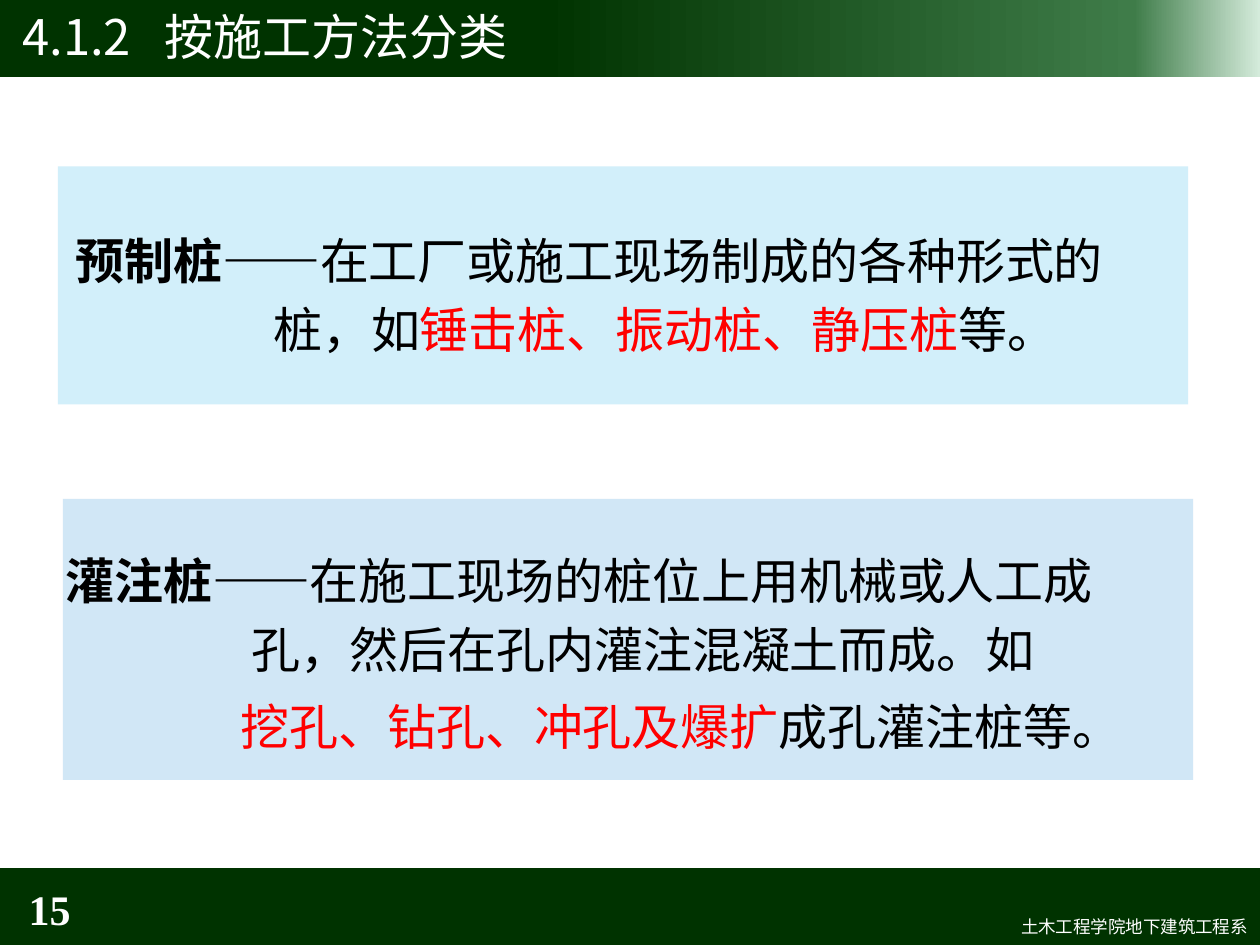
import copy
from dataclasses import dataclass

import pptx
import pptx.dml.color
import pptx.enum.shapes
import pptx.enum.text
import pptx.oxml.ns
import pptx.util

ALIGN = pptx.enum.text.PP_ALIGN
ANCHOR = pptx.enum.text.MSO_ANCHOR
COLS, ROWS = 100, 75


@dataclass(frozen=True)
class Theme:
    white: str = "FFFFFF"
    black: str = "000000"
    red: str = "FF0000"
    bar: str = "003300"
    bar_fade: tuple = ((0.43, "003300"), (0.9, "3F7C49"), (1, "D4EBDB"))
    precast_panel: str = "D2EFFA"
    cast_panel: str = "D1E7F6"
    body_font: str = "Arial"
    cjk_font: str = "Noto Sans CJK SC"
    number_font: str = "Times New Roman"
    body_size: int = 28
    number_size: int = 24
    footer_size: int = 10
    body_pitch: float = 39.3


class Deck:
    """Holds the theme and the current slide; lengths are grid columns and rows."""

    def __init__(self, theme):
        self.theme = theme
        self.prs = pptx.Presentation()
        self.prs.slide_width = pptx.util.Inches(10)
        self.prs.slide_height = pptx.util.Inches(7.5)
        self.s = self.prs.slides.add_slide(self.prs.slide_layouts[6])

    def x(self, cols):
        return int(self.prs.slide_width * cols / COLS)

    def y(self, rows):
        return int(self.prs.slide_height * rows / ROWS)

    def area(self, left, top, width, height):
        return self.x(left), self.y(top), self.x(width), self.y(height)

    def panel(self, area, color):
        sp = self.s.shapes.add_shape(
            pptx.enum.shapes.MSO_SHAPE.RECTANGLE, *self.area(*area))
        sp.shadow.inherit = False
        sp.line.fill.background()
        sp.fill.solid()
        sp.fill.fore_color.rgb = pptx.dml.color.RGBColor.from_string(color)
        return sp

    def fade_panel(self, area, stops):
        """Rectangle with a left-to-right gradient through the given stops."""
        sp = self.panel(area, stops[0][1])
        sp.fill.gradient()
        sp.fill.gradient_angle = 0
        gs_list = next(sp._element.iter(pptx.oxml.ns.qn("a:gsLst")))
        while len(gs_list) < len(stops):
            gs_list.append(copy.deepcopy(gs_list[-1]))
        for stop, (position, color) in zip(sp.fill.gradient_stops, stops):
            stop.position = position
            stop.color.rgb = pptx.dml.color.RGBColor.from_string(color)

    def text_box(self, area, anchor=ANCHOR.TOP):
        tf = self.s.shapes.add_textbox(*self.area(*area)).text_frame
        tf.word_wrap = True
        tf.vertical_anchor = anchor
        return tf

    def style(self, r, font, size, color, bold=False):
        r.font.name = font
        r.font.size = pptx.util.Pt(size)
        r.font.bold = bold
        r.font.color.rgb = pptx.dml.color.RGBColor.from_string(color)
        ea = r._r.get_or_add_rPr().makeelement(
            pptx.oxml.ns.qn("a:ea"), {"typeface": self.theme.cjk_font})
        r.font._element.find(pptx.oxml.ns.qn("a:latin")).addnext(ea)

    def label(self, area, text, font, size, align=ALIGN.LEFT,
              anchor=ANCHOR.TOP, bold=False):
        tf = self.text_box(area, anchor)
        tf.text = text
        p = tf.paragraphs[0]
        p.alignment = align
        for r in p.runs:
            self.style(r, font, size, self.theme.white, bold)

    def title(self, area, number, text, tab):
        """Section number and heading, the heading starting at a tab stop."""
        self.label(area, f"{number}\t{text}", self.theme.cjk_font,
                   self.theme.body_size, anchor=ANCHOR.MIDDLE)
        p = self.s.shapes[-1].text_frame.paragraphs[0]
        pPr = p._p.get_or_add_pPr()
        tabs = pPr.makeelement(pptx.oxml.ns.qn("a:tabLst"), {})
        tabs.append(tabs.makeelement(
            pptx.oxml.ns.qn("a:tab"), {"pos": str(self.x(tab)), "algn": "l"}))
        pPr.append(tabs)

    def definition(self, area, lines):
        """Each line is (indent in columns, points before, runs)."""
        tf = self.text_box(area)
        for i, (indent, before, runs) in enumerate(lines):
            p = tf.add_paragraph() if i else tf.paragraphs[0]
            p._p.get_or_add_pPr().set("marL", str(self.x(indent)))
            p.line_spacing = pptx.util.Pt(self.theme.body_pitch)
            p.space_before = pptx.util.Pt(before)
            for text, color, bold in runs:
                r = p.add_run()
                r.text = text
                self.style(r, self.theme.body_font, self.theme.body_size,
                           color, bold)


def main():
    t = Theme()
    deck = Deck(t)
    bar_height = 6.1

    deck.fade_panel((0, 0, COLS, bar_height), t.bar_fade)
    deck.panel((0, ROWS - bar_height, COLS, bar_height), t.bar)
    deck.title((0.8, -0.3, 99, 6.3), "4.1.2", "按施工方法分类", tab=11.3)
    deck.label((0, 70.1, 6.6, 4), "15", t.number_font, t.number_size,
               ALIGN.RIGHT, ANCHOR.MIDDLE, bold=True)
    deck.label((42.1, 72.2, 57.9, 2.7), "土木工程学院地下建筑工程系",
               t.cjk_font, t.footer_size, ALIGN.RIGHT)

    deck.panel((4.6, 13.2, 89.7, 18.9), t.precast_panel)
    deck.definition((5, 17, 93.3, 12), [
        (0, 0, [("预制桩——", t.black, True),
                ("在工厂或施工现场制成的各种形式的", t.black, False)]),
        (15.7, 0, [("桩，如", t.black, False),
                   ("锤击桩、振动桩、静压桩", t.red, False),
                   ("等。", t.black, False)]),
    ])

    deck.panel((5, 39.6, 89.7, 22.3), t.cast_panel)
    deck.definition((4.2, 42.4, 93.3, 18), [
        (0, 0, [("灌注桩——", t.black, True),
                ("在施工现场的桩位上用机械或人工成", t.black, False)]),
        (14.8, 0, [("孔，然后在孔内灌注混凝土而成。如", t.black, False)]),
        (13.9, 5, [("挖孔、钻孔、冲孔及爆扩", t.red, False),
                   ("成孔灌注桩等。", t.black, False)]),
    ])

    deck.prs.save("out.pptx")


if __name__ == "__main__":
    main()
